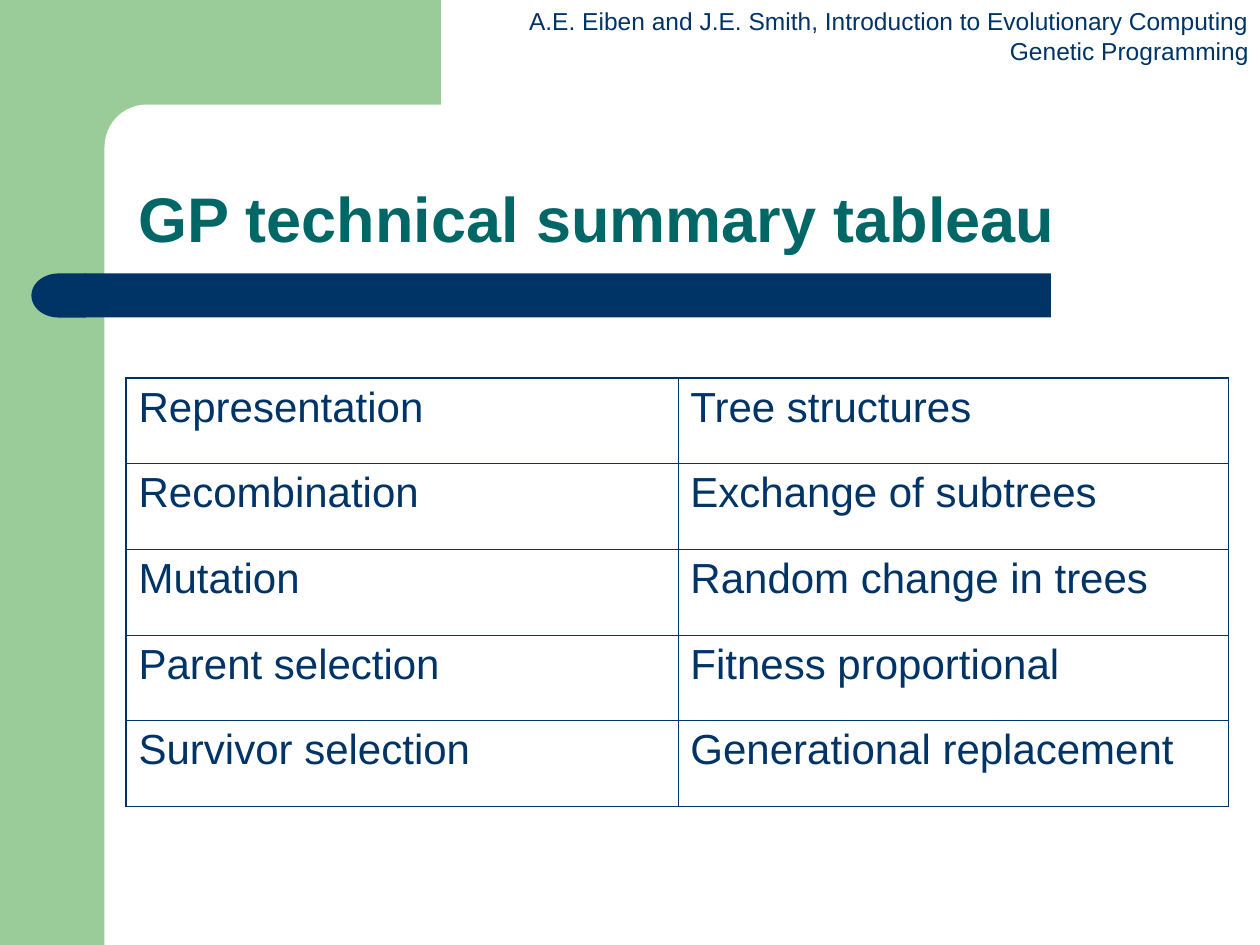
from lxml import etree
from pptx import Presentation
from pptx.dml.color import RGBColor
from pptx.enum import shapes, text
from pptx.oxml import ns
from pptx.util import Inches, Pt

HEADER = ["A.E. Eiben and J.E. Smith, Introduction to Evolutionary Computing",
          "Genetic Programming"]
TITLE = "GP technical summary tableau"
ROWS = [
    ("Representation", "Tree structures"),
    ("Recombination", "Exchange of subtrees"),
    ("Mutation", "Random change in trees"),
    ("Parent selection", "Fitness proportional"),
    ("Survivor selection", "Generational replacement"),
]
COLORS = {"green": "99CC99", "white": "FFFFFF", "navy": "003366", "teal": "006666"}
FONT = "Arial"
THIN, THICK = 0.45, 1.08
COLUMN_WIDTHS = (4.38, 4.37)
ROW_HEIGHT = 0.68

RECTANGLE = shapes.MSO_SHAPE.RECTANGLE
ROUNDED = shapes.MSO_SHAPE.ROUNDED_RECTANGLE
DELAY = shapes.MSO_SHAPE.FLOWCHART_DELAY
DECORATION = [
    (RECTANGLE, (0, 0, 0.83, 7.5), "green"),
    (RECTANGLE, (0.75, 0, 2.75, 1.17), "green"),
    (ROUNDED, (0.83, 0.83, 5.58, 0.67), "white"),
    (RECTANGLE, (0.67, 2.17, 7.67, 0.35), "navy"),
    (DELAY, (0.25, 2.17, 0.43, 0.35), "navy"),
]


def write(frame, content, size, color, bold=False, align=text.PP_ALIGN.LEFT,
          before=0, spacing=1.0):
    frame.text = content
    for paragraph in frame.paragraphs:
        paragraph.alignment = align
        paragraph.space_before = Pt(before)
        paragraph.line_spacing = spacing
        font = paragraph.runs[0].font
        font.name, font.size, font.bold = FONT, Pt(size), bold
        font.color.rgb = RGBColor.from_string(COLORS[color])


def add_decoration(slide, kind, box, color):
    shape = slide.shapes.add_shape(kind, *map(Inches, box))
    shape.shadow.inherit = False
    shape.fill.solid()
    shape.fill.fore_color.rgb = RGBColor.from_string(COLORS[color])
    shape.line.fill.background()
    if kind == ROUNDED:
        shape.adjustments[0] = 0.5
    if kind == DELAY:
        shape.element.spPr.find(ns.qn("a:xfrm")).set("flipH", "1")


def set_borders(cell, widths):
    properties = cell._tc.get_or_add_tcPr()
    for side, width in widths.items():
        line = etree.SubElement(properties, ns.qn(f"a:ln{side}"), w=str(Pt(width)))
        fill = etree.SubElement(line, ns.qn("a:solidFill"))
        etree.SubElement(fill, ns.qn("a:srgbClr"), val=COLORS["navy"])


def add_summary_table(slide):
    last_row, last_column = len(ROWS) - 1, len(COLUMN_WIDTHS) - 1
    table = slide.shapes.add_table(
        len(ROWS), len(COLUMN_WIDTHS), Inches(1), Inches(3),
        Inches(sum(COLUMN_WIDTHS)), Inches(ROW_HEIGHT * len(ROWS))).table
    table.first_row = table.horz_banding = False
    for column, width in zip(table.columns, COLUMN_WIDTHS):
        column.width = Inches(width)
    for r, labels in enumerate(ROWS):
        table.rows[r].height = Inches(ROW_HEIGHT)
        for c, label in enumerate(labels):
            cell = table.cell(r, c)
            outer = {"L": c == 0, "R": c == last_column, "T": r == 0, "B": r == last_row}
            set_borders(cell, {side: THICK if edge else THIN for side, edge in outer.items()})
            cell.fill.background()
            write(cell.text_frame, label, 24, "navy", before=6)


def main():
    presentation = Presentation()
    presentation.slide_width, presentation.slide_height = Inches(10), Inches(7.5)
    slide = presentation.slides.add_slide(presentation.slide_layouts[5])
    for kind, box, color in DECORATION:
        add_decoration(slide, kind, box, color)

    header = slide.shapes.add_textbox(*map(Inches, (4.1, 0, 5.91, 0.57)))
    header.text_frame.word_wrap = False
    write(header.text_frame, "\n".join(HEADER), 14, "navy", align=text.PP_ALIGN.RIGHT)

    title = slide.shapes.title
    title.left, title.top, title.width, title.height = map(Inches, (1, 0.83, 8.75, 1.25))
    title.text_frame.vertical_anchor = text.MSO_ANCHOR.BOTTOM
    title.text_frame.auto_size = text.MSO_AUTO_SIZE.NONE
    write(title.text_frame, TITLE, 36, "teal", bold=True, spacing=0.9)
    slide.shapes.element.append(title.element)

    add_summary_table(slide)
    presentation.save("out.pptx")


if __name__ == "__main__":
    main()
